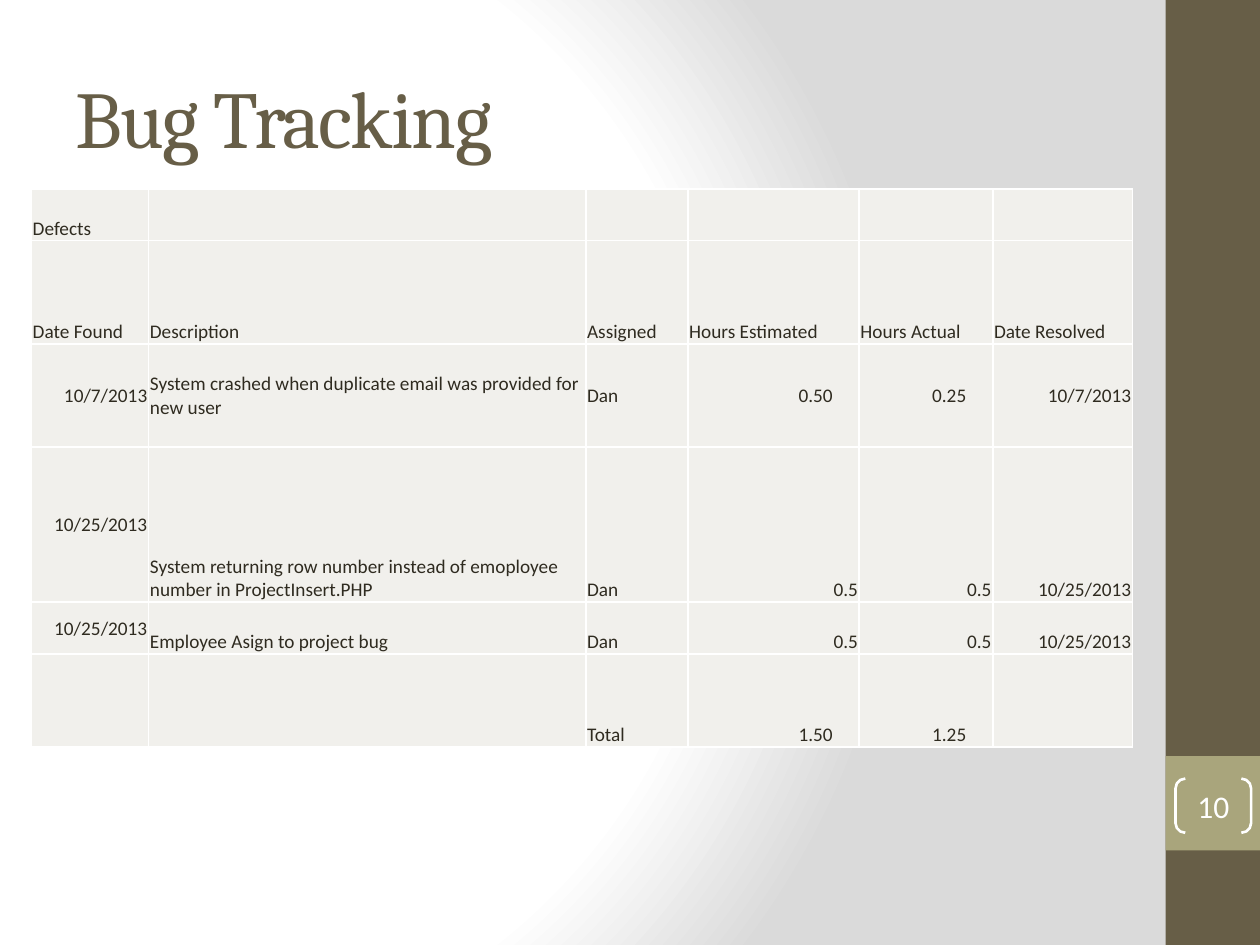
from lxml import etree
from pptx import Presentation
from pptx.dml.color import RGBColor
from pptx.enum import shapes, text
from pptx.oxml import parse_xml
from pptx.oxml.ns import nsdecls, qn
from pptx.util import Inches, Pt

COLORS = {"brown": "675E47", "olive": "A9A57C", "cell": "F1F0EC",
          "ink": "2F2B20", "white": "FFFFFF", "gray": "DADADA"}


def rgb(name):
    """Return a palette colour."""
    return RGBColor.from_string(COLORS[name])


def style_run(p, size, font, color):
    """Format the runs of a paragraph."""
    for r in p.runs:
        r.font.size, r.font.name = Pt(size), font
        r.font.color.rgb = rgb(color)


prs = Presentation()
prs.slide_width, prs.slide_height = Inches(10), Inches(7.5)
s = prs.slides.add_slide(prs.slide_layouts[5])

# Background: circular gradient
s.background.fill.gradient()
grad = s.element.find(".//" + qn("a:gradFill"))
stops = "".join(
    f'<a:gs pos="{pos}000"><a:srgbClr val="{COLORS[name]}"/></a:gs>'
    for pos, name in [(0, "white"), (75, "white"), (100, "gray")])
grad.getparent().replace(grad, parse_xml(
    f'<a:gradFill {nsdecls("a")} rotWithShape="1"><a:gsLst>{stops}</a:gsLst>'
    '<a:path path="circle"><a:fillToRect l="20000" t="50000" r="100000" b="50000"/>'
    '</a:path></a:gradFill>'))

# Side band
for top, height, color in [(0, 7.5, "brown"), (6, 0.75, "olive")]:
    sp = s.shapes.add_shape(shapes.MSO_SHAPE.RECTANGLE, Inches(9.25), Inches(top),
                            Inches(0.75), Inches(height))
    sp.shadow.inherit = False
    sp.fill.solid()
    sp.fill.fore_color.rgb = rgb(color)
    sp.line.fill.background()

# Title
title = s.shapes.title
title.left, title.top = Inches(0.5), Inches(0.3)
title.width, title.height = Inches(8.33), Inches(1.25)
tf = title.text_frame
tf.text = "Bug Tracking"
tf.vertical_anchor = text.MSO_ANCHOR.MIDDLE
p = tf.paragraphs[0]
p.alignment = text.PP_ALIGN.LEFT
style_run(p, 46, "Cambria", "brown")
p.runs[0].font.element.set("spc", "-100") if hasattr(p.runs[0].font, "element") \
    else p.runs[0]._r.get_or_add_rPr().set("spc", "-100")

# Defect table
col_widths = [0.93, 3.47, 0.81, 1.36, 1.06, 1.11]
row_heights = [0.41, 0.82, 0.82, 1.23, 0.41, 0.74]
rows = [
    ["Defects", "", "", "", "", ""],
    ["Date Found", "Description", "Assigned", "Hours Estimated", "Hours Actual",
     "Date Resolved"],
    ["10/7/2013", "System crashed when duplicate email was provided for new user",
     "Dan", "0.50", "0.25", "10/7/2013"],
    ["10/25/2013",
     "System returning row number instead of emoployee number in ProjectInsert.PHP",
     "Dan", "0.5", "0.5", "10/25/2013"],
    ["10/25/2013", "Employee Asign to project bug", "Dan", "0.5", "0.5", "10/25/2013"],
    ["", "", "Total", "1.50", "1.25", ""],
]
table = s.shapes.add_table(len(rows), len(col_widths), Inches(0.25), Inches(1.5),
                           Inches(sum(col_widths)), Inches(sum(row_heights))).table
table.first_row = table.horz_banding = False
for column, width in zip(table.columns, col_widths):
    column.width = Inches(width)
for i, (row, height) in enumerate(zip(rows, row_heights)):
    table.rows[i].height = Inches(height)
    for j, value in enumerate(row):
        cell = table.cell(i, j)
        tc_pr = cell._tc.get_or_add_tcPr()
        for side in "LRTB":
            ln = etree.SubElement(tc_pr, qn(f"a:ln{side}"), w=str(Pt(1)))
            fill = etree.SubElement(ln, qn("a:solidFill"))
            etree.SubElement(fill, qn("a:srgbClr"), val=COLORS["white"])
        cell.fill.solid()
        cell.fill.fore_color.rgb = rgb("cell")
        accounting = i in (2, 5) and j in (3, 4)
        cell.margin_left = cell.margin_top = Inches(0.01)
        cell.margin_right = Inches(0.21 if accounting else 0.01)
        cell.margin_bottom = 0
        middle = i == 2 or (j == 0 and i in (3, 4))
        cell.vertical_anchor = (text.MSO_ANCHOR.MIDDLE if middle
                                else text.MSO_ANCHOR.BOTTOM)
        p = cell.text_frame.paragraphs[0]
        p.text = value
        if i >= 2 and j not in (1, 2):
            p.alignment = text.PP_ALIGN.RIGHT
        style_run(p, 11, "Calibri", "ink")

# Slide number
number = s.shapes.add_shape(shapes.MSO_SHAPE.DOUBLE_BRACKET, Inches(9.33), Inches(6.18),
                            Inches(0.6), Inches(0.43))
number.shadow.inherit = False
number.adjustments[0] = 0.18
number.fill.background()
number.line.color.rgb = rgb("white")
number.line.width = Pt(1.5)
tf = number.text_frame
tf.margin_left = tf.margin_right = tf.margin_top = tf.margin_bottom = 0
tf.vertical_anchor = text.MSO_ANCHOR.MIDDLE
tf.text = "10"
p = tf.paragraphs[0]
p.alignment = text.PP_ALIGN.CENTER
style_run(p, 18, "Calibri", "white")

prs.save("out.pptx")
